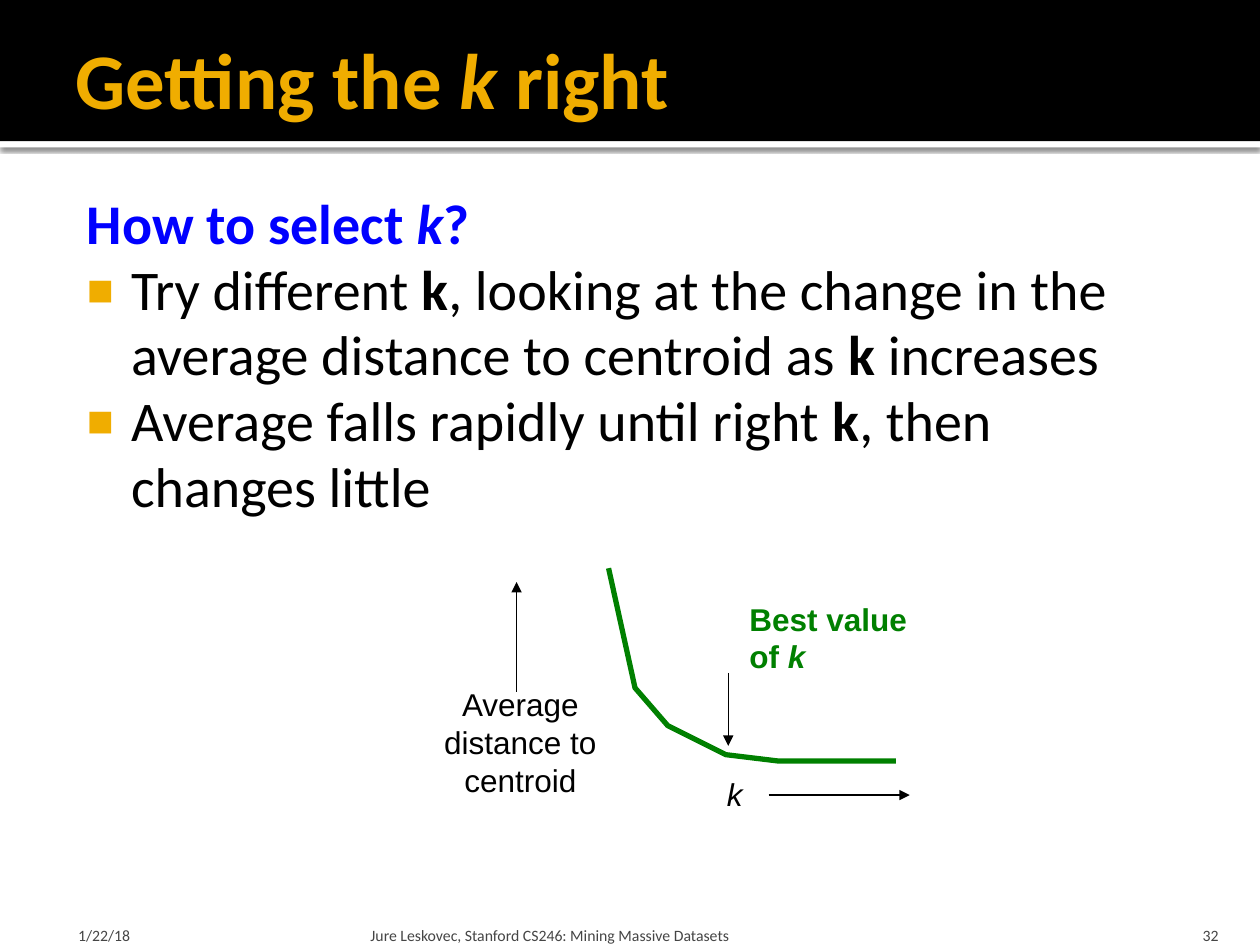
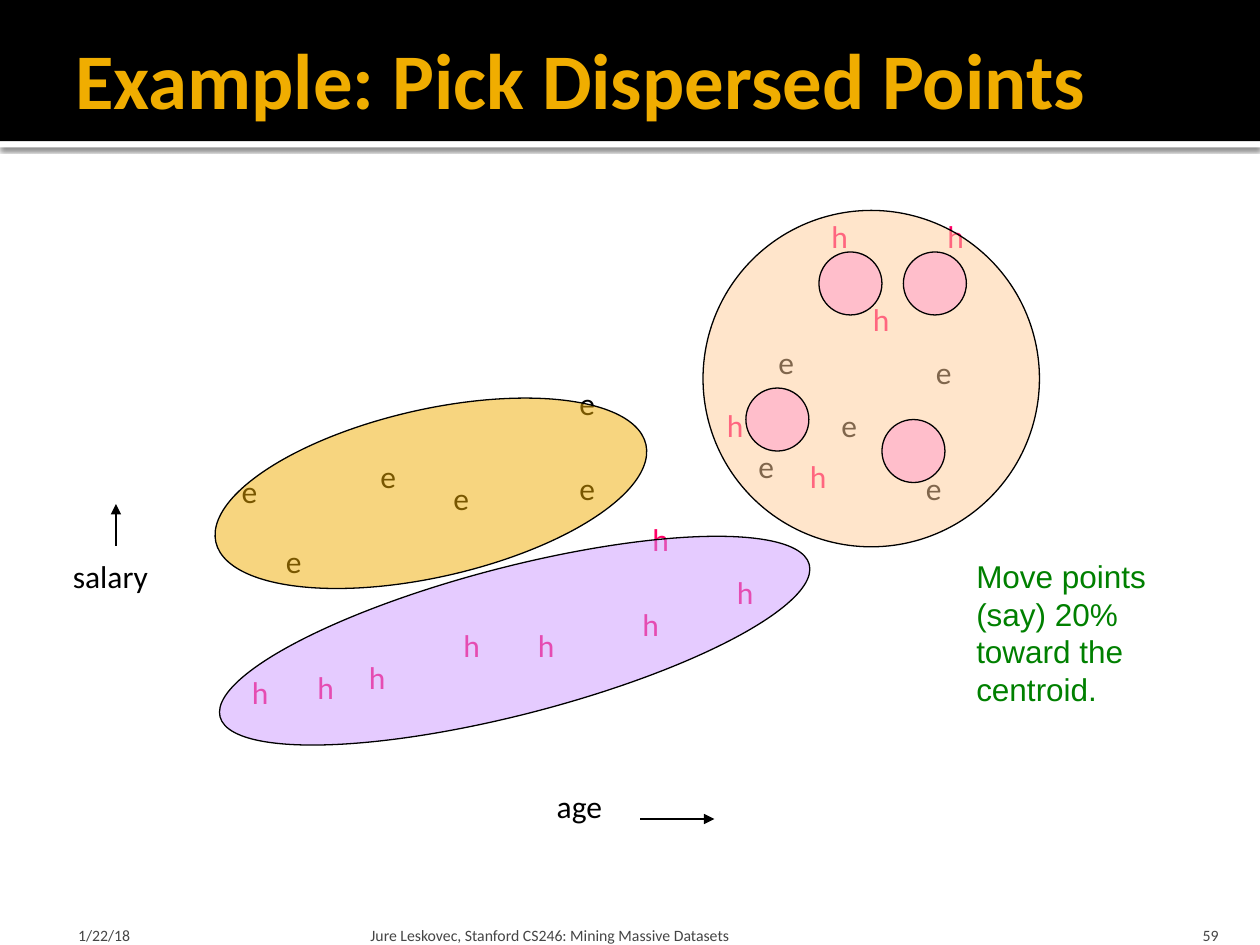
import pptx
import pptx.dml.color
import pptx.enum.shapes
import pptx.enum.text
import pptx.oxml
import pptx.oxml.ns
import pptx.util

Inches = pptx.util.Inches
Pt = pptx.util.Pt
RGBColor = pptx.dml.color.RGBColor
Align = pptx.enum.text.PP_ALIGN
Anchor = pptx.enum.text.MSO_ANCHOR
AutoSize = pptx.enum.text.MSO_AUTO_SIZE
Preset = pptx.enum.shapes.MSO_SHAPE
qn = pptx.oxml.ns.qn

BLACK = RGBColor(0x00, 0x00, 0x00)
WHITE = RGBColor(0xFF, 0xFF, 0xFF)
GOLD = RGBColor(0xF0, 0xAD, 0x00)
BLUE = RGBColor(0x00, 0x00, 0xFF)
GREEN = RGBColor(0x00, 0x80, 0x00)
GREY = RGBColor(0x45, 0x45, 0x45)
CRIMSON = RGBColor(0xFF, 0x00, 0x66)
PEACH = RGBColor(0xFF, 0xCC, 0x99)
LILAC = RGBColor(0xCC, 0x99, 0xFF)
PINK = RGBColor(0xFF, 0x99, 0xCC)

TITLE_ONLY, TITLE_AND_BODY = 5, 1
DATE = "1/22/18"
FOOTER = "Jure Leskovec, Stanford CS246: Mining Massive Datasets"


def xml(markup):
    """Turn one drawing element without namespace declarations into XML."""
    tag_end = min(markup.index(mark) for mark in " />" if mark in markup)
    declared = markup[:tag_end] + " " + pptx.oxml.ns.nsdecls("a") + markup[tag_end:]
    return pptx.oxml.parse_xml(declared)


def write(para, text, size=18, font="Calibri", color=BLACK, bold=False,
          italic=False, marked="italic", align=Align.LEFT):
    """Fill a paragraph; parts between asterisks get the marked format."""
    para.alignment = align
    for number, part in enumerate(text.split("*")):
        if not part:
            continue
        span = para.add_run()
        span.text = part
        span.font.name = font
        span.font.size = Pt(size)
        span.font.color.rgb = color
        span.font.bold = bold
        span.font.italic = italic
        if number % 2:
            setattr(span.font, marked, True)


def place(box, left, top, width, height):
    box.left, box.top = Inches(left), Inches(top)
    box.width, box.height = Inches(width), Inches(height)


def set_frame(frame, insets, anchor=Anchor.TOP):
    frame.margin_left, frame.margin_top, frame.margin_right, frame.margin_bottom = (
        Inches(inset) for inset in insets)
    frame.vertical_anchor = anchor
    frame.word_wrap = True
    frame.auto_size = AutoSize.NONE


class LectureDeck:
    def __init__(self):
        self.deck = pptx.Presentation()
        self.deck.slide_width = Inches(10)
        self.deck.slide_height = Inches(7.5)
        self.page = None

    def add_page(self, title, number, layout=TITLE_ONLY):
        self.page = self.deck.slides.add_slide(self.deck.slide_layouts[layout])
        heading = self.page.shapes.title
        stripe = self.shape(Preset.RECTANGLE, 0, 1.12, 10, 0.05, WHITE)
        stripe.element.spPr.find(qn("a:effectLst")).append(xml(
            '<a:outerShdw blurRad="31750" dist="10160" dir="5400000">'
            '<a:srgbClr val="000000"><a:alpha val="60000"/></a:srgbClr></a:outerShdw>'))
        band = self.shape(Preset.RECTANGLE, 0, 0, 10, 1.12, BLACK)
        for backdrop in (stripe, band):
            heading.element.addprevious(backdrop.element)

        place(heading, 0.5, 0.08, 9, 1.08)
        set_frame(heading.text_frame, (0.1, 0.05, 0.05, 0.05), Anchor.MIDDLE)
        write(heading.text_frame.paragraphs[0], title, size=45, color=GOLD, bold=True)
        self.footer(DATE, 0.5, 2.33, left_inset=0.12)
        self.footer(FOOTER, 2.89, 6.02, left_inset=0.05)
        self.footer(str(number), 8.97, 0.8, left_inset=0.1, right_inset=0.1,
                    align=Align.RIGHT)

    def footer(self, text, left, width, left_inset, right_inset=0.05, align=Align.LEFT):
        box = self.page.shapes.add_textbox(
            Inches(left), Inches(7.2), Inches(width), Inches(0.3))
        set_frame(box.text_frame, (left_inset, 0.05, right_inset, 0), Anchor.BOTTOM)
        write(box.text_frame.paragraphs[0], text, size=9, color=GREY, align=align)

    def body(self, heading, bullets):
        box = self.page.placeholders[1]
        place(box, 0.5, 1.42, 9, 5.75)
        frame = box.text_frame
        set_frame(frame, (0.06, 0.1, 0.1, 0.05))
        para = frame.paragraphs[0]
        self.list_format(para, 0.13, 0, "<a:buNone/>")
        write(para, heading, size=32, color=BLUE, bold=True)
        for text in bullets:
            para = frame.add_paragraph()
            self.list_format(
                para, 0.48, -0.35,
                f'<a:buClr><a:srgbClr val="{GOLD}"/></a:buClr>',
                '<a:buSzPct val="80000"/>', '<a:buFont typeface="Arial"/>',
                '<a:buChar char="■"/>')
            write(para, text, size=32, marked="bold")

    def list_format(self, para, margin, indent, *bullet_parts):
        para.space_before = Pt(0)
        para.line_spacing = 0.98
        properties = para._p.get_or_add_pPr()
        properties.set("marL", str(Inches(margin)))
        properties.set("indent", str(Inches(indent)))
        for part in bullet_parts:
            properties.append(xml(part))

    def label(self, lines, left, top, width, height, **text_format):
        box = self.page.shapes.add_textbox(
            Inches(left), Inches(top), Inches(width), Inches(height))
        frame = box.text_frame
        frame.word_wrap = False
        frame.auto_size = AutoSize.SHAPE_TO_FIT_TEXT
        for number, line in enumerate(lines):
            para = frame.add_paragraph() if number else frame.paragraphs[0]
            write(para, line, **text_format)

    def letters(self, letter, positions, color):
        for left, top in positions:
            self.label([letter], left, top, 0.38, 0.5, color=color)

    def shape(self, preset, left, top, width, height, fill):
        shape = self.page.shapes.add_shape(
            preset, Inches(left), Inches(top), Inches(width), Inches(height))
        shape.shadow.inherit = False
        shape.fill.solid()
        shape.fill.fore_color.rgb = fill
        shape.line.fill.background()
        return shape

    def cluster(self, left, top, width, height, fill, rotation=0):
        """Add a half transparent, outlined ellipse."""
        ellipse = self.shape(Preset.OVAL, left, top, width, height, fill)
        ellipse.rotation = rotation
        tint = ellipse.element.spPr.find(f"{qn('a:solidFill')}/{qn('a:srgbClr')}")
        tint.append(xml('<a:alpha val="50000"/>'))
        ellipse.line.color.rgb = BLACK
        ellipse.line.width = Pt(0.75)

    def arrow(self, x1, y1, x2, y2):
        arrow = self.page.shapes.add_connector(
            pptx.enum.shapes.MSO_CONNECTOR.STRAIGHT,
            Inches(x1), Inches(y1), Inches(x2), Inches(y2))
        arrow.line.color.rgb = BLACK
        arrow.line.width = Pt(0.75)
        properties = arrow.element.spPr
        properties.find(qn("a:ln")).append(xml('<a:tailEnd type="triangle"/>'))
        properties.append(xml("<a:effectLst/>"))

    def curve(self, points, color, width):
        start, *rest = [(Inches(x), Inches(y)) for x, y in points]
        builder = self.page.shapes.build_freeform(*start)
        builder.add_line_segments(rest, close=False)
        curve = builder.convert_to_shape()
        curve.shadow.inherit = False
        curve.fill.background()
        curve.line.color.rgb = color
        curve.line.width = Pt(width)


def add_choosing_k(lecture):
    lecture.add_page("Getting the *k* right", 32, TITLE_AND_BODY)
    lecture.body("How to select *k*?", [
        "Try different *k*, looking at the change in the average distance "
        "to centroid as *k* increases",
        "Average falls rapidly until right *k*, then changes little"])
    lecture.label(["k"], 5.67, 6.1, 0.33, 0.4, font="Arial", italic=True)
    lecture.label(["Average", "distance to", "centroid"], 3.42, 5.39, 1.42, 1.01,
                  font="Arial", align=Align.CENTER)
    lecture.arrow(4.1, 5.49, 4.1, 4.62)
    lecture.arrow(6.1, 6.31, 7.22, 6.31)
    lecture.label(["Best value", "of *k*"], 5.85, 4.71, 1.46, 0.71,
                  font="Arial", color=GREEN, bold=True)
    lecture.arrow(5.78, 5.34, 5.78, 5.92)
    lecture.curve([(4.83, 4.51), (5.04, 5.46), (5.3, 5.76), (5.76, 5.99),
                   (6.17, 6.04), (6.77, 6.04), (7.11, 6.04)], GREEN, 3)


def add_dispersed_points(lecture):
    lecture.add_page("Example: Pick Dispersed Points", 59)
    lecture.letters("e", [
        (1.82, 3.7), (3.5, 3.75), (4.5, 3), (5.92, 3.5), (6.08, 2.67), (7.33, 2.75),
        (2.17, 4.25), (2.92, 3.58), (4.5, 3.67), (6.58, 3.17), (7.25, 3.67)], BLACK)
    lecture.letters("h", [
        (1.9, 5.29), (5.67, 3.17), (5.75, 4.5), (6.33, 3.58), (6.83, 2.33),
        (7.42, 1.67), (3.58, 4.92), (4.17, 4.92), (5.08, 4.08), (5, 4.75),
        (6.5, 1.67), (2.42, 5.25), (2.83, 5.17)], CRIMSON)
    lecture.label(["salary"], 0.48, 4.37, 1.06, 0.5)
    lecture.label(["age"], 4.32, 6.2, 0.74, 0.5)
    lecture.arrow(5.08, 6.5, 5.67, 6.5)
    lecture.arrow(0.92, 4.33, 0.92, 4)
    lecture.cluster(1.67, 3.25, 3.5, 1.33, GOLD, rotation=347.2)
    lecture.cluster(5.58, 1.67, 2.67, 2.67, PEACH)
    lecture.cluster(1.67, 4.5, 4.83, 1.17, LILAC, rotation=345.5)
    for left, top in [(6.5, 2), (7.17, 2), (5.92, 3.08), (7, 3.33)]:
        lecture.cluster(left, top, 0.5, 0.5, PINK)
    lecture.label(["Move points", "(say) 20%", "toward the", "centroid."],
                  7.65, 4.37, 1.56, 1.31, font="Arial", color=GREEN)


def main():
    lecture = LectureDeck()
    add_choosing_k(lecture)
    add_dispersed_points(lecture)
    lecture.deck.save("out.pptx")


if __name__ == "__main__":
    main()
